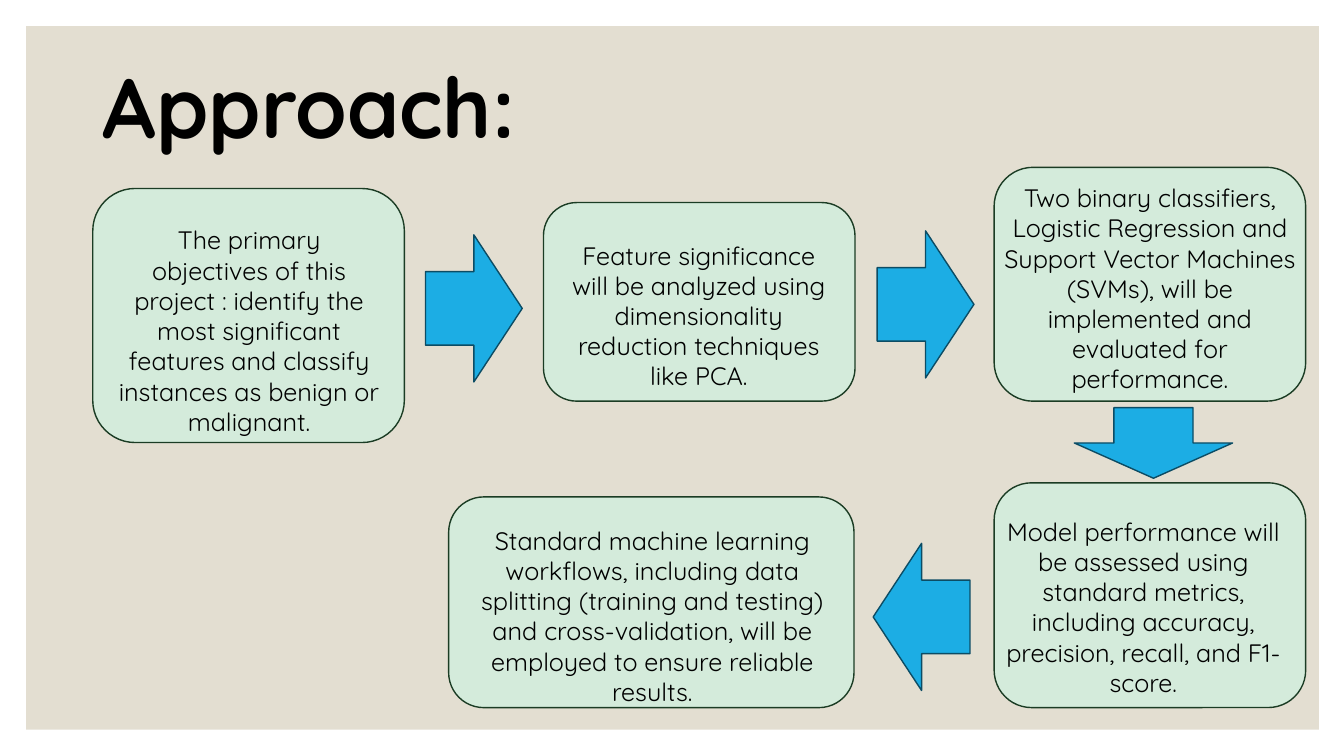
from pptx import Presentation
from pptx.dml.color import RGBColor
from pptx.enum.shapes import MSO_SHAPE
from pptx.enum.text import MSO_ANCHOR, PP_ALIGN
from pptx.util import Pt

PX = 9144  # EMU per px, 100 px to the inch
FONT = "Quicksand"
RECT = MSO_SHAPE.RECTANGLE
ROUND = MSO_SHAPE.ROUNDED_RECTANGLE
ARROW = MSO_SHAPE.RIGHT_ARROW
MIDDLE, TOP = MSO_ANCHOR.MIDDLE, MSO_ANCHOR.TOP
LEFT, CENTER = PP_ALIGN.LEFT, PP_ALIGN.CENTER
COLORS = {
    "panel": "E3DED1",
    "card": "D4EBDB",
    "card_line": "1B3C24",
    "arrow": "1CADE4",
    "arrow_line": "0C4C64",
    "text": "000000",
}

prs = Presentation()
prs.slide_width, prs.slide_height = 1333 * PX, 750 * PX
s = prs.slides.add_slide(prs.slide_layouts[6])


def add_block(kind, box, fill, line=None):
    sp = s.shapes.add_shape(kind, *(v * PX for v in box))
    sp.shadow.inherit = False
    sp.fill.solid()
    sp.fill.fore_color.rgb = RGBColor.from_string(COLORS[fill])
    if line:
        sp.line.color.rgb = RGBColor.from_string(COLORS[line])
        sp.line.width = Pt(1)
    else:
        sp.line.fill.background()
    return sp


def add_text(text, box, size, align=CENTER, anchor=TOP, bold=False):
    tf = s.shapes.add_textbox(*(v * PX for v in box)).text_frame
    tf.word_wrap = True
    tf.vertical_anchor = anchor
    p = tf.paragraphs[0]
    p.text = text
    p.alignment = align
    font = p.runs[0].font
    font.name, font.size, font.bold = FONT, Pt(size), bold
    font.color.rgb = RGBColor.from_string(COLORS["text"])
    return p


add_block(RECT, (26, 26, 1282, 698), "panel")
title = add_text("Approach:", (92, 31, 1000, 159), 60, LEFT, MIDDLE, True)
title.line_spacing = 0.9

# Each step: card box, text box, wording
steps = [
    ((92, 187, 309, 252), (107, 218, 280, 162),
     "The primary objectives of this project : identify the most significant "
     "features and classify instances as benign or malignant."),
    ((539, 201, 309, 197), (549, 233, 288, 131),
     "Feature significance will be analyzed using dimensionality reduction "
     "techniques like PCA."),
    ((986, 166, 309, 232), (986, 176, 309, 222),
     "Two binary classifiers, Logistic Regression and Support Vector Machines "
     "(SVMs), will be implemented and evaluated for performance."),
    ((986, 479, 309, 223), (985, 507, 298, 196),
     "Model performance will be assessed using standard metrics, including "
     "accuracy, precision, recall, and F1-score."),
    ((445, 493, 402, 209), (459, 516, 376, 162),
     "Standard machine learning workflows, including data splitting (training "
     "and testing) and cross-validation, will be employed to ensure reliable "
     "results."),
]
for card_box, text_box, text in steps:
    add_block(ROUND, card_box, "card", "card_line")
    add_text(text, text_box, 18)

# Each arrow: box before rotation, rotation in degrees
arrows = [
    ((422, 233, 96, 146), 0),
    ((870, 229, 96, 146), 0),
    ((1109, 361, 70, 157), 90),
    ((866, 539, 96, 146), 180),
]
for box, angle in arrows:
    add_block(ARROW, box, "arrow", "arrow_line").rotation = angle

prs.save("out.pptx")
